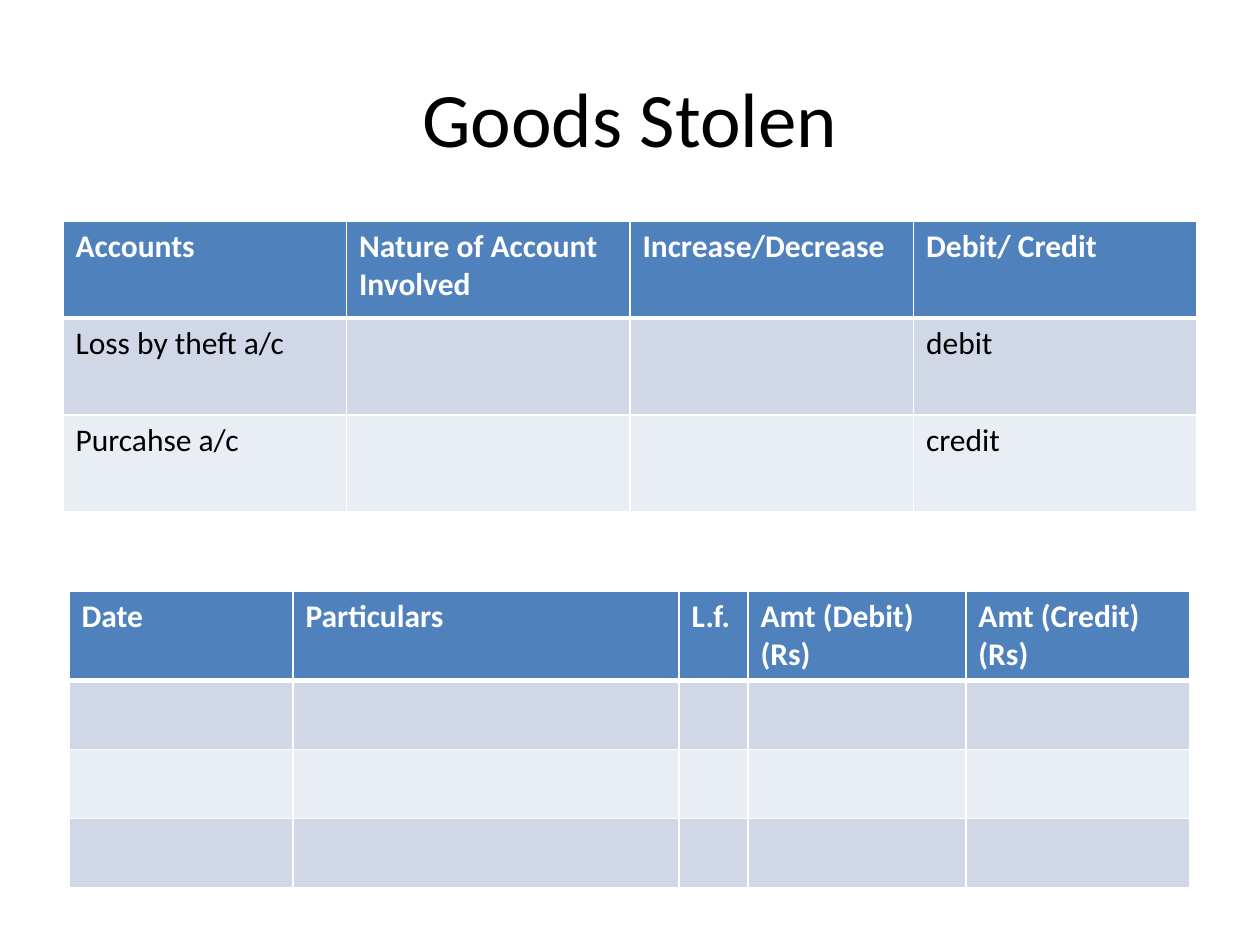
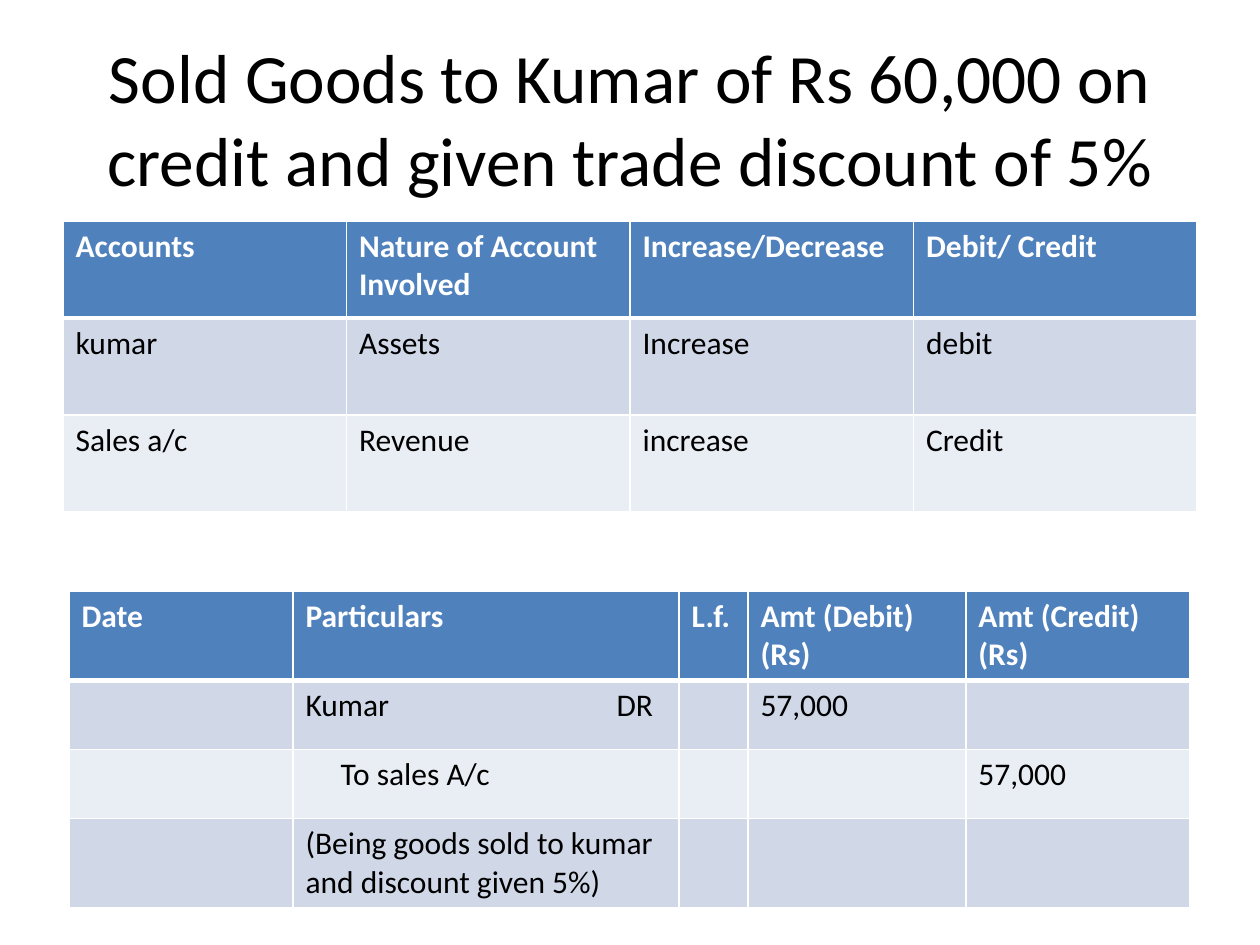
import pptx
import pptx.util
import pptx.dml.color
import pptx.enum.text
import pptx.oxml
import pptx.oxml.ns
from lxml import etree

EMU_PER_PX = 914400 / 126
COLOURS = {
    "text": "000000",
    "header_text": "FFFFFF",
    "header": "4F81BD",
    "odd_row": "D0D8E8",
    "even_row": "E9EDF4",
    "border": "FFFFFF",
}
FONT = "Calibri"
ENTRY_TAB = 311
ENTRY_INDENT = 35


def px(length):
    return round(length * EMU_PER_PX)


def write(frame, text, size=18, colour="text", bold=False, align="LEFT", indent=0, tab=0):
    paragraph = frame.paragraphs[0]
    paragraph.alignment = getattr(pptx.enum.text.PP_ALIGN, align)
    properties = paragraph._p.get_or_add_pPr()
    if indent:
        properties.set("marL", str(px(indent)))
    if tab:
        stops = etree.SubElement(properties, pptx.oxml.ns.qn("a:tabLst"))
        etree.SubElement(stops, pptx.oxml.ns.qn("a:tab"), pos=str(px(tab)), algn="l")
    run = paragraph.add_run()
    run.text = text
    run.font.name = FONT
    run.font.size = pptx.util.Pt(size)
    run.font.bold = bold
    run.font.color.rgb = pptx.dml.color.RGBColor.from_string(COLOURS[colour])


# Table layouts shared by both slides
analysis = {
    "left": 63, "top": 221, "row_height": 97,
    "columns": [1134 / 4] * 4,
    "header": ["Accounts", "Nature of Account Involved", "Increase/Decrease", "Debit/ Credit"],
}
journal = {
    "left": 69, "top": 591, "row_height": 69,
    "columns": [224, 386, 69, 218, 224],
    "header": ["Date", "Particulars", "L.f.", "Amt (Debit) (Rs)", "Amt (Credit) (Rs)"],
}

# Content of each transaction
transactions = [
    {
        "title": "Goods Stolen",
        "title_size": 44,
        "analysis": [["Loss by theft a/c", "", "", "debit"],
                     ["Purcahse a/c", "", "", "credit"]],
        "journal": [[""] * 5] * 3,
    },
    {
        "title": "Sold Goods to Kumar of Rs 60,000 on credit and given trade discount of 5%",
        "title_size": 39.6,
        "analysis": [["kumar", "Assets", "Increase", "debit"],
                     ["Sales a/c", "Revenue", "increase", "Credit"]],
        "journal": [["", "Kumar\tDR", "", "57,000", ""],
                    ["", "To sales A/c", "", "", "57,000"],
                    ["", "(Being goods sold to kumar and discount given 5%)", "", "", ""]],
    },
]

deck = pptx.Presentation()
deck.slide_width = px(1260)
deck.slide_height = px(945)

for transaction in transactions:
    slide = deck.slides.add_slide(deck.slide_layouts[5])

    # Title
    title = slide.shapes.title
    title.left, title.top, title.width, title.height = px(63), px(38), px(1134), px(158)
    title.text_frame.word_wrap = True
    title.text_frame.auto_size = pptx.enum.text.MSO_AUTO_SIZE.NONE
    title.text_frame.vertical_anchor = pptx.enum.text.MSO_ANCHOR.MIDDLE
    write(title.text_frame, transaction["title"], size=transaction["title_size"], align="CENTER")

    # Account analysis above, journal entry below
    for layout, entries in ((analysis, transaction["analysis"]), (journal, transaction["journal"])):
        rows = [layout["header"]] + entries
        widths = layout["columns"]
        table = slide.shapes.add_table(
            len(rows), len(widths), px(layout["left"]), px(layout["top"]),
            px(sum(widths)), px(layout["row_height"] * len(rows))).table
        for column, width in zip(table.columns, widths):
            column.width = px(width)

        for row_number, row in enumerate(rows):
            table.rows[row_number].height = px(layout["row_height"])
            is_header = row_number == 0
            fill = "header" if is_header else "odd_row" if row_number % 2 else "even_row"
            for column_number, text in enumerate(row):
                cell = table.cell(row_number, column_number)

                # Borders: thick rule between header and body
                for side in "LRTB":
                    thick = (row_number, side) in ((0, "B"), (1, "T"))
                    line = etree.SubElement(cell._tc.get_or_add_tcPr(),
                                            pptx.oxml.ns.qn("a:ln" + side),
                                            w=str(pptx.util.Pt(3 if thick else 1)))
                    solid = etree.SubElement(line, pptx.oxml.ns.qn("a:solidFill"))
                    etree.SubElement(solid, pptx.oxml.ns.qn("a:srgbClr"), val=COLOURS["border"])

                cell.fill.solid()
                cell.fill.fore_color.rgb = pptx.dml.color.RGBColor.from_string(COLOURS[fill])
                if text:
                    write(cell.text_frame, text, bold=is_header,
                          colour="header_text" if is_header else "text",
                          indent=ENTRY_INDENT if text.startswith("To ") else 0,
                          tab=ENTRY_TAB if "\t" in text else 0)

deck.save("out.pptx")
